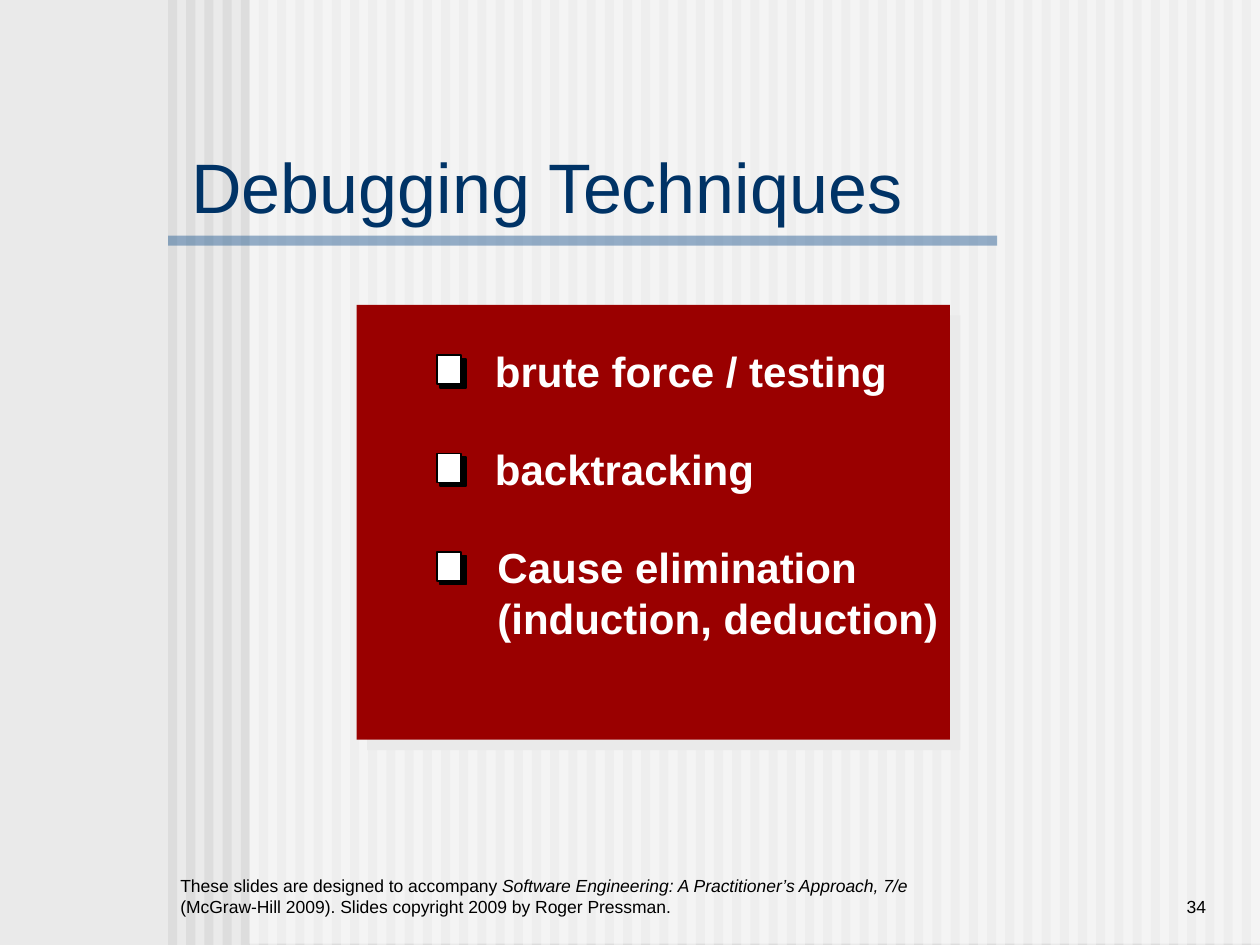
"""Build the Debugging Techniques slide."""
from lxml import etree
from pptx import Presentation
from pptx.dml.color import RGBColor
from pptx.enum.shapes import MSO_SHAPE
from pptx.enum.text import MSO_ANCHOR, MSO_AUTO_SIZE, PP_ALIGN
from pptx.oxml.ns import qn
from pptx.util import Inches, Pt

RECTANGLE = MSO_SHAPE.RECTANGLE
LEFT, RIGHT = PP_ALIGN.LEFT, PP_ALIGN.RIGHT
TOP, MIDDLE, BOTTOM = MSO_ANCHOR.TOP, MSO_ANCHOR.MIDDLE, MSO_ANCHOR.BOTTOM

TITLE = "Debugging Techniques"
TECHNIQUES = [
    (3.83, 3.31, ["brute force / testing"]),
    (3.83, 2.25, ["backtracking"]),
    (3.85, 3.7, ["Cause elimination", "(induction, deduction)"]),
]
CREDIT = [
    ("These slides are designed to accompany ", False),
    ("Software Engineering: A Practitioner’s Approach, 7/e ", True),
    ("(McGraw-Hill 2009). Slides copyright 2009 by Roger Pressman.", False),
]
PAGE_NUMBER = "34"

COLORS = {
    "back": "EAEAEA", "stripe": "DDDDDD", "veil": "FFFFFF", "rule": "336699",
    "panel": "9A0000", "title": "003366", "light": "FFFFFF", "dark": "000000",
}
FONT = "Arial"
WIDTH, HEIGHT = 10, 7.5
MARGIN = WIDTH * 2 / 15
STRIPES = 60
PITCH = (WIDTH - MARGIN) / STRIPES
FIRST_ROW, ROW_STEP = 2.69, 0.78


def color(name):
    return RGBColor.from_string(COLORS[name])


def add_block(parent, area, fill, line=None, alpha=None):
    block = parent.add_shape(RECTANGLE, *map(Inches, area))
    block.shadow.inherit = False
    block.fill.solid()
    block.fill.fore_color.rgb = color(fill)
    if line:
        block.line.color.rgb = color(line)
        block.line.width = Pt(1)
    else:
        block.line.fill.background()
    if alpha:
        shade = block.fill._xPr.find(".//" + qn("a:srgbClr"))
        etree.SubElement(shade, qn("a:alpha"), val=str(alpha * 1000))
    return block


def add_shadow(block):
    effects = block._element.spPr.find(qn("a:effectLst"))
    shadow = etree.SubElement(
        effects, qn("a:outerShdw"), blurRad="0", dist=str(Pt(8.5)),
        dir=str(45 * 60000), algn="ctr", rotWithShape="0")
    etree.SubElement(shadow, qn("a:srgbClr"), val=COLORS["back"])


def write(box, paragraphs, size, ink, anchor=TOP, align=LEFT, bold=False, wrap=True):
    frame = box.text_frame
    frame.word_wrap = wrap
    frame.auto_size = MSO_AUTO_SIZE.NONE
    frame.vertical_anchor = anchor
    for index, spans in enumerate(paragraphs):
        para = frame.add_paragraph() if index else frame.paragraphs[0]
        para.alignment = align
        for text, italic in spans:
            span = para.add_run()
            span.text = text
            span.font.name = FONT
            span.font.size = Pt(size)
            span.font.bold = bold
            span.font.italic = italic
            span.font.color.rgb = color(ink)


def add_text(page, area, paragraphs, size, ink, **options):
    box = page.shapes.add_textbox(*map(Inches, area))
    write(box, paragraphs, size, ink, **options)


def add_backdrop(page):
    page.background.fill.solid()
    page.background.fill.fore_color.rgb = color("back")
    group = page.shapes.add_group_shape().shapes
    for index in range(STRIPES):
        add_block(group, (MARGIN + index * PITCH, 0, PITCH / 2, HEIGHT), "stripe")
    add_block(group, (1.98, -0.01, WIDTH - 1.98, HEIGHT), "veil", alpha=50)
    add_block(group, (MARGIN, 1.87, 6.58, 0.08), "rule", alpha=50)


def add_title(page):
    title = page.shapes.title
    title.left, title.top, title.width, title.height = map(Inches, (1.42, 1.17, 6.33, 0.61))
    write(title, [[(TITLE, False)]], 40, "title", anchor=MIDDLE)
    page.shapes._spTree.append(title._element)


def add_techniques(page):
    add_shadow(add_block(page.shapes, (2.83, 2.42, 4.71, 3.45), "panel"))
    for row, (left, width, lines) in enumerate(TECHNIQUES):
        top = FIRST_ROW + row * ROW_STEP
        paragraphs = [[(line, False)] for line in lines]
        add_text(page, (left, top, width, 0.9), paragraphs, 24, "light",
                 bold=True, wrap=False)
        check = page.shapes.add_group_shape().shapes
        add_block(check, (3.49, top + 0.16, 0.21, 0.23), "dark", line="dark")
        add_block(check, (3.47, top + 0.13, 0.19, 0.23), "light", line="dark")


def main():
    deck = Presentation()
    deck.slide_width, deck.slide_height = Inches(WIDTH), Inches(HEIGHT)
    page = deck.slides.add_slide(deck.slide_layouts[5])
    add_backdrop(page)
    add_text(page, (MARGIN, 6.83, 6, 0.5), [CREDIT], 10, "dark", anchor=BOTTOM)
    add_text(page, (8.25, 6.83, 1.42, 0.5), [[(PAGE_NUMBER, False)]], 10, "dark",
             anchor=BOTTOM, align=RIGHT)
    add_title(page)
    add_techniques(page)
    deck.save("out.pptx")


if __name__ == "__main__":
    main()
